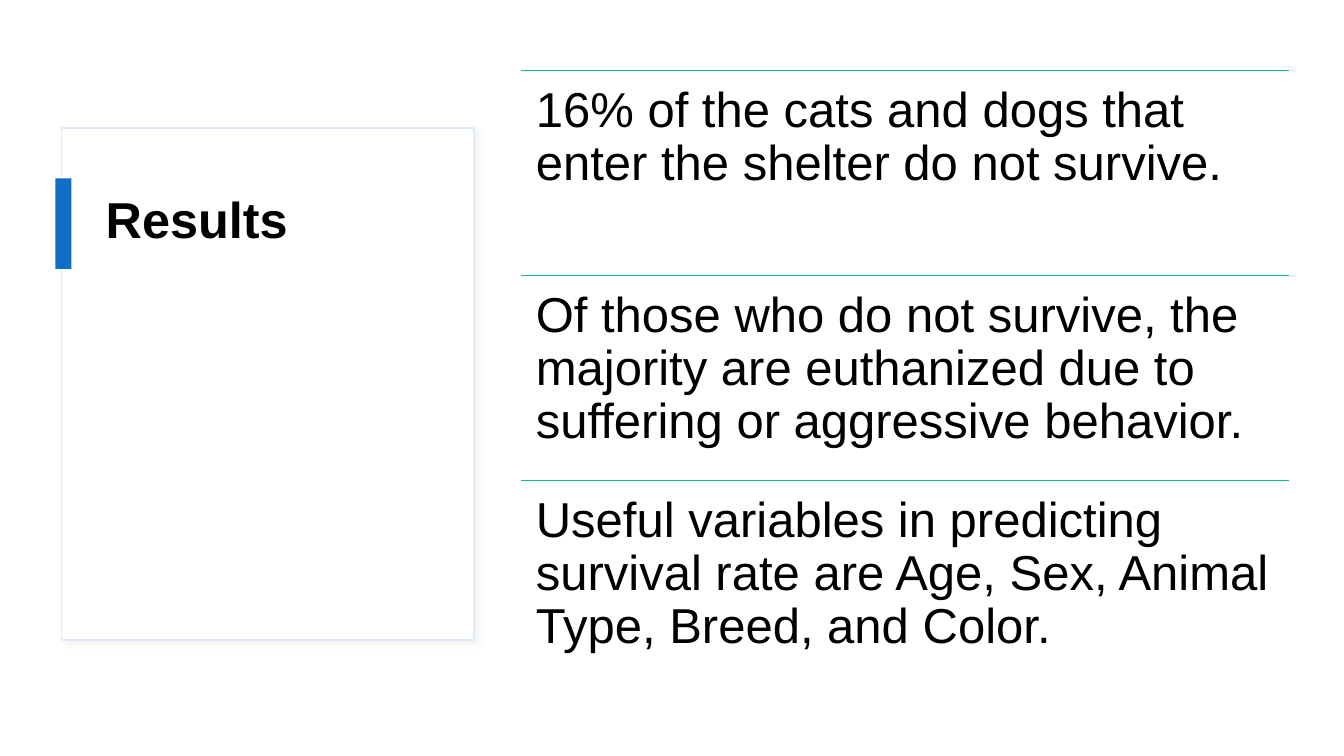
import pptx
import pptx.dml.color
import pptx.enum.shapes
import pptx.oxml
import pptx.oxml.ns
import pptx.util
from pptx.util import Pt

COLORS = {
    "white": "FFFFFF",
    "black": "000000",
    "card_border": "DFEBF8",
    "shadow": "D9D9D9",
    "accent": "0F6FC6",
    "rule": "0EBC8C",
}
FONT = "Arial"
FINDINGS = [
    "16% of the cats and dogs that enter the shelter do not survive.",
    "Of those who do not survive, the majority are euthanized due to "
    "suffering or aggressive behavior.",
    "Useful variables in predicting survival rate are Age, Sex, Animal Type, "
    "Breed, and Color.",
]
FINDINGS_LEFT, FINDINGS_TOP = 372.25, 50.4
FINDING_WIDTH, FINDING_HEIGHT = 548.65, 146.4


def rgb(name):
    return pptx.dml.color.RGBColor.from_string(COLORS[name])


def add_text(shapes, text, left, top, width, height, *, size, bold=False,
             inset_x=7.2, inset_y=3.6):
    text_box = shapes.add_textbox(Pt(left), Pt(top), Pt(width), Pt(height))
    frame = text_box.text_frame
    frame.word_wrap = True
    frame.margin_left = frame.margin_right = Pt(inset_x)
    frame.margin_top = frame.margin_bottom = Pt(inset_y)
    paragraph = frame.paragraphs[0]
    paragraph.text = text
    paragraph.line_spacing = 0.9
    font = paragraph.runs[0].font
    font.name = FONT
    font.size = Pt(size)
    font.bold = bold
    font.color.rgb = rgb("black")


def add_rectangle(shapes, left, top, width, height, *, fill, border=None):
    shape = shapes.add_shape(pptx.enum.shapes.MSO_SHAPE.RECTANGLE,
                             Pt(left), Pt(top), Pt(width), Pt(height))
    shape.shadow.inherit = False
    shape.fill.solid()
    shape.fill.fore_color.rgb = rgb(fill)
    if border:
        shape.line.color.rgb = rgb(border)
        shape.line.width = Pt(1)
    else:
        shape.line.fill.background()
    return shape


def add_soft_shadow(shape):
    effects = shape.element.spPr.find(pptx.oxml.ns.qn("a:effectLst"))
    effects.append(pptx.oxml.parse_xml(
        f'<a:outerShdw {pptx.oxml.ns.nsdecls("a")} blurRad="{Pt(4)}" '
        f'dist="{Pt(3)}" dir="2700000" algn="tl" rotWithShape="0">'
        f'<a:srgbClr val="{COLORS["shadow"]}"><a:alpha val="30000"/></a:srgbClr>'
        '</a:outerShdw>'))


def add_rule(shapes, left, top, width):
    rule = shapes.add_connector(pptx.enum.shapes.MSO_CONNECTOR.STRAIGHT,
                                Pt(left), Pt(top), Pt(left + width), Pt(top))
    rule.line.color.rgb = rgb("rule")
    rule.line.width = Pt(1)
    rule.element.spPr.append(pptx.oxml.parse_xml(
        f'<a:effectLst {pptx.oxml.ns.nsdecls("a")}/>'))


def add_title_card(shapes):
    card = add_rectangle(shapes, 44, 91.5, 294.5, 365.75,
                         fill="white", border="card_border")
    add_soft_shadow(card)
    add_text(shapes, "Results", 68.4, 135.4, 244, 277.2, size=36, bold=True)
    add_rectangle(shapes, 39.6, 127.4, 11.5, 64.8, fill="accent")


def add_findings(shapes):
    group = shapes.add_group_shape()
    for index, finding in enumerate(FINDINGS):
        top = FINDINGS_TOP + index * FINDING_HEIGHT
        add_rule(group.shapes, FINDINGS_LEFT, top, FINDING_WIDTH)
        add_text(group.shapes, finding, FINDINGS_LEFT, top, FINDING_WIDTH,
                 FINDING_HEIGHT, size=35, inset_x=10.5, inset_y=10.5)


def main():
    presentation = pptx.Presentation()
    presentation.slide_width = Pt(960)
    presentation.slide_height = Pt(540)
    slide = presentation.slides.add_slide(presentation.slide_layouts[6])
    add_title_card(slide.shapes)
    add_findings(slide.shapes)
    presentation.save("out.pptx")


if __name__ == "__main__":
    main()
